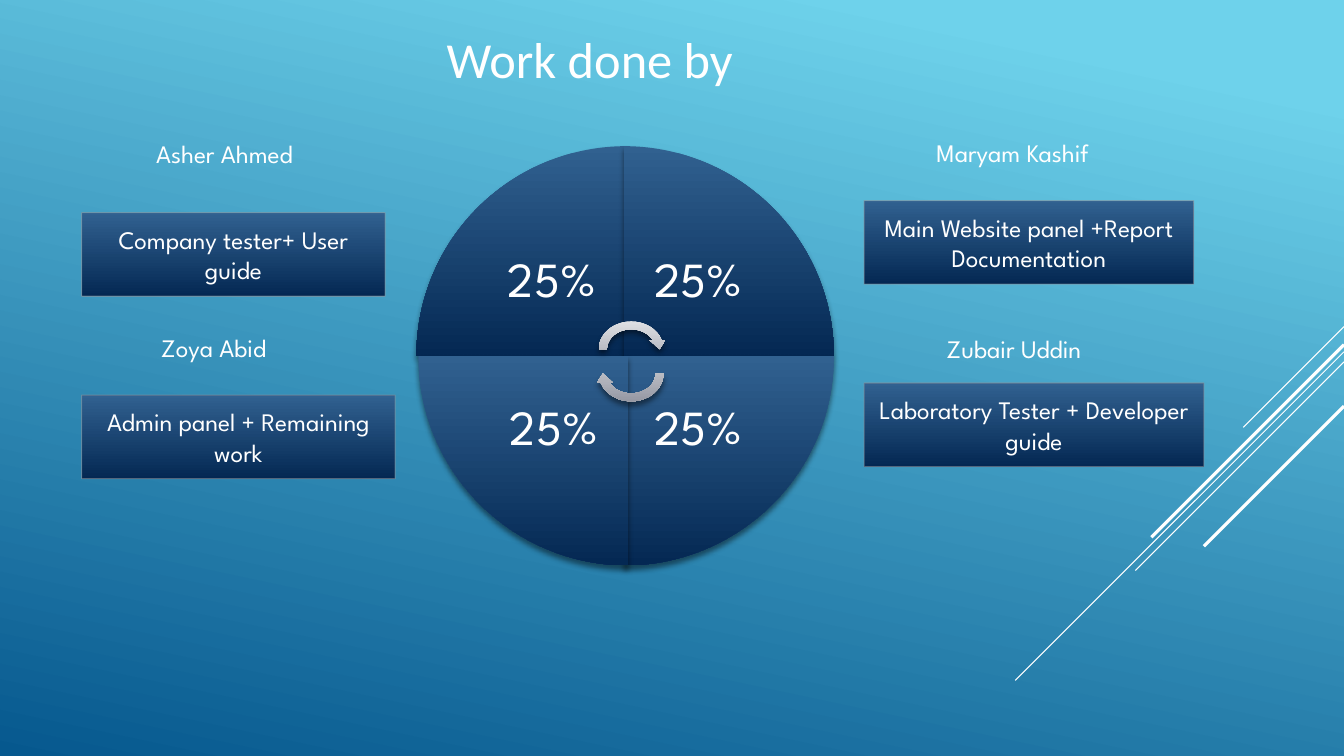
from dataclasses import dataclass

from lxml.etree import SubElement
from pptx import Presentation
from pptx.dml.color import RGBColor
from pptx.enum.shapes import MSO_CONNECTOR, MSO_SHAPE
from pptx.enum.text import MSO_ANCHOR, MSO_AUTO_SIZE, PP_ALIGN
from pptx.oxml.ns import qn
from pptx.util import Inches, Pt


@dataclass(frozen=True)
class Theme:
    """Colours, fonts and type sizes of the slide."""
    white: str = "FFFFFF"
    sky: tuple = ("6ED2EB", "06588E")
    navy: tuple = ("316190", "042853")
    silver: tuple = ("E3E5E8", "91939F")
    border: str = "89919C"
    shadow: str = "000000"
    title_font: str = "Calibri"
    body_font: str = "League Spartan"
    title_size: int = 36
    share_size: int = 35
    body_size: int = 18


class Deck:
    """Draws styled elements on the current slide."""

    def __init__(self, prs, theme):
        """Add a blank slide."""
        self.theme = theme
        self.s = prs.slides.add_slide(prs.slide_layouts[6])

    def gradient(self, fill, colors, angle=90, start=0):
        """Fill with two colours, the angle measured clockwise."""
        fill.gradient()
        fill.gradient_angle = 360 - angle
        for stop, color, position in zip(fill.gradient_stops, colors, (start, 1)):
            stop.color.rgb = RGBColor.from_string(color)
            stop.position = position

    def background(self):
        """Fill the slide with the sky gradient."""
        self.gradient(self.s.background.fill, self.theme.sky, 102, 0.1)

    def line(self, x1, y1, x2, y2, width):
        """Draw a white straight line."""
        c = self.s.shapes.add_connector(
            MSO_CONNECTOR.STRAIGHT, Inches(x1), Inches(y1), Inches(x2), Inches(y2))
        c.line.color.rgb = RGBColor.from_string(self.theme.white)
        c.line.width = Pt(width)
        SubElement(c._element.spPr, qn("a:effectLst"))

    def add_run(self, sp, text, size, font=None, align=PP_ALIGN.CENTER):
        """Put one white paragraph into a shape."""
        tf = sp.text_frame
        tf.word_wrap = True
        p = tf.paragraphs[0]
        p.alignment = align
        r = p.add_run()
        r.text = text
        r.font.size = Pt(size)
        r.font.name = font or self.theme.body_font
        r.font.color.rgb = RGBColor.from_string(self.theme.white)
        return tf

    def text(self, x, y, w, h, text, size, font=None, align=PP_ALIGN.LEFT):
        """Add a text box that grows with its text."""
        sp = self.s.shapes.add_textbox(Inches(x), Inches(y), Inches(w), Inches(h))
        tf = self.add_run(sp, text, size, font, align)
        tf.auto_size = MSO_AUTO_SIZE.SHAPE_TO_FIT_TEXT

    def share(self, x, y, side, text):
        """Add a percentage centred in a square."""
        sp = self.s.shapes.add_textbox(Inches(x), Inches(y), Inches(side), Inches(side))
        tf = self.add_run(sp, text, self.theme.share_size)
        tf.vertical_anchor = MSO_ANCHOR.MIDDLE
        tf.margin_left = tf.margin_right = tf.margin_top = tf.margin_bottom = Inches(0.27)
        tf.paragraphs[0].line_spacing = 0.9

    def shape(self, kind, x, y, w, h, colors, rotation=0):
        """Add a gradient shape whose shading stays upright when turned."""
        sp = self.s.shapes.add_shape(kind, Inches(x), Inches(y), Inches(w), Inches(h))
        sp.shadow.inherit = False
        sp.rotation = rotation
        self.gradient(sp.fill, colors)
        sp._element.spPr.find(qn("a:gradFill")).set("rotWithShape", "0")
        sp.line.fill.background()
        return sp

    def raised(self, kind, x, y, w, h, colors, rotation=0):
        """Add a gradient shape with a soft shadow below."""
        sp = self.shape(kind, x, y, w, h, colors, rotation)
        effects = sp._element.spPr.find(qn("a:effectLst"))
        shadow = SubElement(effects, qn("a:outerShdw"), blurRad=str(Pt(4)),
                            dist=str(Pt(3)), dir="5400000", rotWithShape="0")
        color = SubElement(shadow, qn("a:srgbClr"), val=self.theme.shadow)
        SubElement(color, qn("a:alpha"), val="46000")

    def task(self, x, y, w, text):
        """Add a bordered task box."""
        sp = self.shape(MSO_SHAPE.RECTANGLE, x, y, w, 0.83, self.theme.navy)
        sp.line.color.rgb = RGBColor.from_string(self.theme.border)
        sp.line.width = Pt(0.75)
        color = sp._element.spPr.find(qn("a:ln")).find(".//" + qn("a:srgbClr"))
        SubElement(color, qn("a:alpha"), val="60000")
        tf = self.add_run(sp, text, self.theme.body_size)
        tf.vertical_anchor = MSO_ANCHOR.MIDDLE


def main():
    """Build the slide and save it."""
    prs = Presentation()
    prs.slide_width, prs.slide_height = Inches(13.33), Inches(7.5)
    theme = Theme()
    deck = Deck(prs, theme)
    deck.background()

    right = 13.33
    for y, run, width in ((3.24, 1, 0.75), (3.49, 3.26, 0.75), (3.59, 2.07, 0.75),
                          (3.42, 1.91, 2.25), (4.03, 1.39, 2.25)):
        deck.line(right, y, right - run, y + run, width)

    deck.text(2.51, 0.23, 6.68, 0.71, "Work done by", theme.title_size,
              theme.title_font, PP_ALIGN.CENTER)

    members = (
        ("Asher Ahmed", 1.45, 1.32, "Company tester+ User guide", 0.81, 2.11, 3.01),
        ("Zoya Abid", 1.5, 3.25, "Admin panel + Remaining work", 0.81, 3.92, 3.11),
        ("Maryam Kashif", 9.19, 1.31, "Main Website panel +Report Documentation",
         8.57, 1.99, 3.27),
        ("Zubair Uddin", 9.29, 3.26, "Laboratory Tester + Developer guide",
         8.57, 3.8, 3.37),
    )
    for name, name_x, name_y, work, x, y, w in members:
        deck.text(name_x, name_y, 4, 0.4, name, theme.body_size)
        deck.task(x, y, w, work)

    radius, side, middle = 2.08, 1.47, 3.53
    quarters = ((6.21, True, True), (6.19, False, True),
                (6.19, False, False), (6.23, True, False))
    for i, (edge, is_left, is_top) in enumerate(quarters):
        deck.raised(MSO_SHAPE.PIE_WEDGE, edge - radius * is_left,
                    middle - radius * is_top, radius, radius, theme.navy, 90 * i)
        deck.share(edge - side * is_left, middle - side * is_top, side, "25%")

    for y, rotation in ((3.15, 0), (3.39, 180)):
        deck.raised(MSO_SHAPE.CIRCULAR_ARROW, 5.9, y, 0.72, 0.63, theme.silver, rotation)

    prs.save("out.pptx")


if __name__ == "__main__":
    main()
